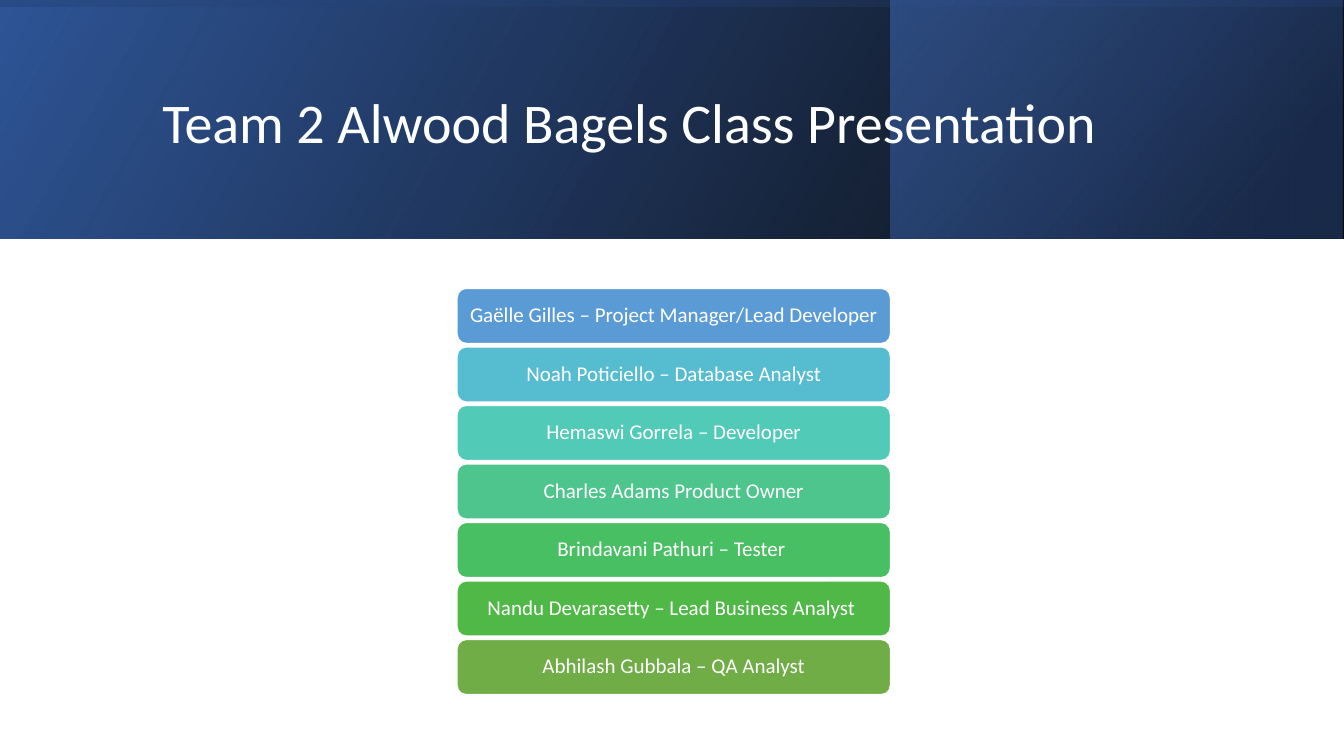
from lxml.etree import SubElement
from pptx import Presentation
from pptx.dml.color import RGBColor
from pptx.enum.shapes import MSO_SHAPE
from pptx.enum.text import MSO_ANCHOR, PP_ALIGN
from pptx.oxml.ns import qn
from pptx.util import Pt

COLORS = {
    "white": "FFFFFF", "black": "000000",
    "blue": "2F5597", "navy": "203864", "bright": "4472C4",
}
SLIDE_WIDTH, SLIDE_HEIGHT = 960, 540
BANNER_HEIGHT = 170.6
MEMBER_LEFT, MEMBER_TOP = 326.5, 206
MEMBER_WIDTH, MEMBER_HEIGHT, MEMBER_PITCH = 309.6, 39.4, 41.8

# Each team member with the colour of the box
TEAM = [
    ("Gaëlle Gilles – Project Manager/Lead Developer", "5B9BD5"),
    ("Noah Poticiello – Database Analyst", "56BCD0"),
    ("Hemaswi Gorrela – Developer", "52CAB8"),
    ("Charles Adams Product Owner", "4DC58D"),
    ("Brindavani Pathuri – Tester ", "49BF64"),
    ("Nandu Devarasetty – Lead Business Analyst ", "50B846"),
    ("Abhilash Gubbala – QA Analyst", "70AD47"),
]


def write_text(shape, text, size, align, color="white", font="Calibri"):
    frame = shape.text_frame
    frame.word_wrap = True
    frame.vertical_anchor = MSO_ANCHOR.MIDDLE
    paragraph = frame.paragraphs[0]
    paragraph.alignment = align
    paragraph.line_spacing = 0.9
    run = paragraph.add_run()
    run.text = text
    run.font.size = Pt(size)
    run.font.name = font
    run.font.color.rgb = RGBColor.from_string(COLORS[color])


def add_box(slide, kind, left, top, width, height):
    box = slide.shapes.add_shape(kind, Pt(left), Pt(top), Pt(width), Pt(height))
    box.shadow.inherit = False
    return box


def add_gradient_panel(slide, left, top, width, height, stops, angle, rotation=0):
    """Stops are (position %, colour name, opacity %); angle runs clockwise."""
    panel = add_box(slide, MSO_SHAPE.RECTANGLE, left, top, width, height)
    panel.rotation = rotation
    panel.line.fill.background()
    panel.fill.gradient()
    properties = panel.element.spPr
    properties.find(qn("a:xfrm")).set("flipH", "1")
    gradient = properties.find(qn("a:gradFill"))
    for child in list(gradient):
        gradient.remove(child)
    stop_list = SubElement(gradient, qn("a:gsLst"))
    for position, color, opacity in stops:
        stop = SubElement(stop_list, qn("a:gs"), pos=str(position * 1000))
        fill = SubElement(stop, qn("a:srgbClr"), val=COLORS[color])
        SubElement(fill, qn("a:alpha"), val=str(opacity * 1000))
    SubElement(gradient, qn("a:lin"), ang=str(angle * 60000), scaled="0")


def add_banner(slide):
    add_gradient_panel(slide, 0, 0, SLIDE_WIDTH, BANNER_HEIGHT,
                       [(0, "black", 96), (100, "blue", 100)], 330)
    add_gradient_panel(slide, 636.2, 0, 323, BANNER_HEIGHT,
                       [(19, "navy", 68), (100, "bright", 48)], 320)
    # A tall panel turned on its side to cover the banner
    offset = (SLIDE_WIDTH - BANNER_HEIGHT) / 2
    add_gradient_panel(slide, offset, -offset, BANNER_HEIGHT, SLIDE_WIDTH,
                       [(23, "blue", 16), (99, "black", 45)], 350, rotation=270)


def place_title(slide, text):
    title = slide.shapes.title
    title.left, title.top = Pt(108.7), Pt(27.4)
    title.width, title.height = Pt(765.4), Pt(123.8)
    write_text(title, text, size=40, align=PP_ALIGN.LEFT)
    # Bring the title in front of the banner
    slide.shapes.element.append(title.element)


def add_member(slide, row, text, color):
    member = add_box(slide, MSO_SHAPE.ROUNDED_RECTANGLE,
                     MEMBER_LEFT, MEMBER_TOP + row * MEMBER_PITCH,
                     MEMBER_WIDTH, MEMBER_HEIGHT)
    member.fill.solid()
    member.fill.fore_color.rgb = RGBColor.from_string(color)
    member.line.color.rgb = RGBColor.from_string(COLORS["white"])
    member.line.width = Pt(1)
    frame = member.text_frame
    frame.margin_left = frame.margin_right = Pt(4.5)
    frame.margin_top = frame.margin_bottom = Pt(2)
    write_text(member, text, size=15, align=PP_ALIGN.CENTER)


def main():
    deck = Presentation()
    deck.slide_width, deck.slide_height = Pt(SLIDE_WIDTH), Pt(SLIDE_HEIGHT)
    slide = deck.slides.add_slide(deck.slide_layouts[5])

    # Banner and title
    add_banner(slide)
    place_title(slide, "Team 2 Alwood Bagels Class Presentation")

    # Team list
    for row, (text, color) in enumerate(TEAM):
        add_member(slide, row, text, color)

    deck.save("out.pptx")


if __name__ == "__main__":
    main()
